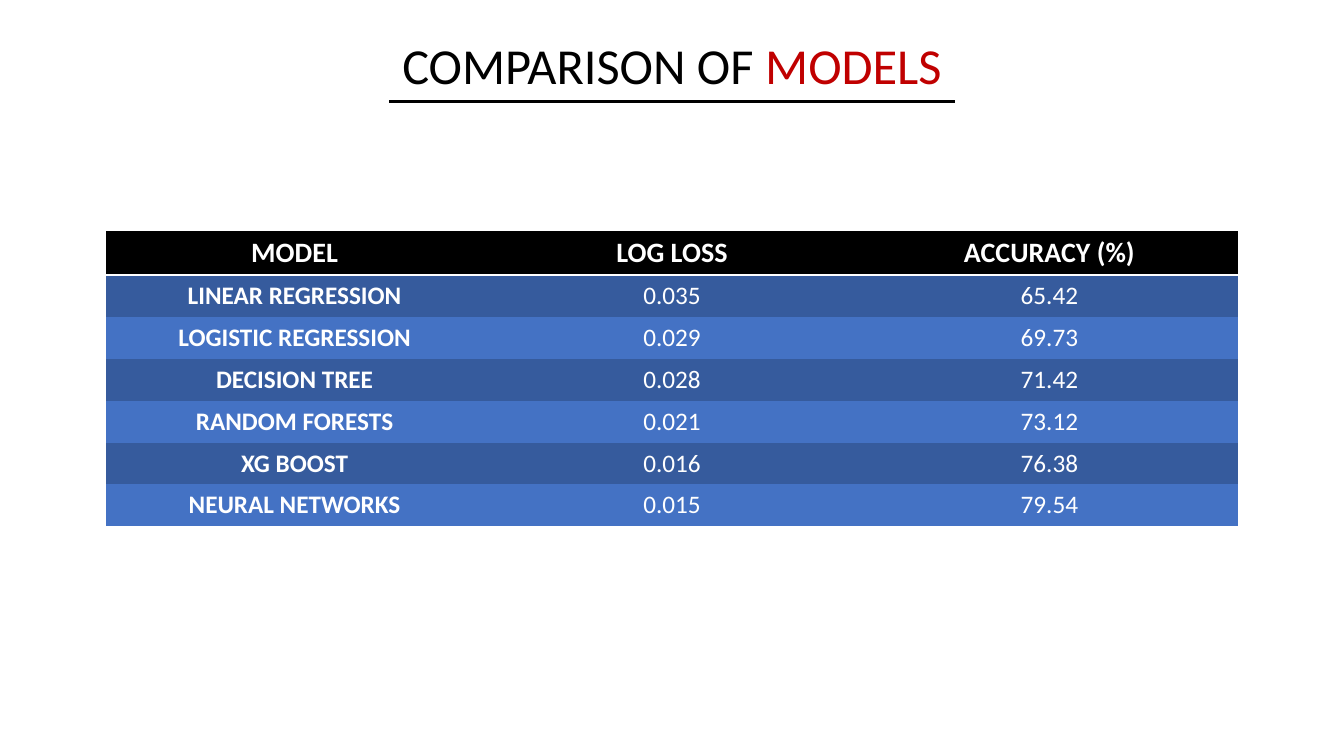
from lxml import etree
from pptx import Presentation
from pptx.dml.color import RGBColor
from pptx.enum.shapes import MSO_CONNECTOR
from pptx.enum.text import MSO_ANCHOR, MSO_AUTO_SIZE, PP_ALIGN
from pptx.oxml import parse_xml
from pptx.oxml.ns import nsdecls, qn
from pptx.util import Inches, Pt

STRAIGHT = MSO_CONNECTOR.STRAIGHT
MIDDLE = MSO_ANCHOR.MIDDLE
NO_AUTOFIT = MSO_AUTO_SIZE.NONE
CENTER = PP_ALIGN.CENTER

# Content
TITLE = [("COMPARISON OF ", "black"), ("MODELS", "red")]
HEADER = ("MODEL", "LOG LOSS", "ACCURACY (%)")
MODELS = [
    ("LINEAR REGRESSION", "0.035", "65.42"),
    ("LOGISTIC REGRESSION", "0.029", "69.73"),
    ("DECISION TREE", "0.028", "71.42"),
    ("RANDOM FORESTS", "0.021", "73.12"),
    ("XG BOOST", "0.016", "76.38"),
    ("NEURAL NETWORKS", "0.015", "79.54"),
]

# Style
FONT = "Calibri"
COLORS = {"black": "000000", "white": "FFFFFF", "red": "C00000",
          "dark_band": "365B9D", "light_band": "4472C4"}
PLAIN_TABLE_STYLE = "{2D5ABB26-0587-4C30-8999-92F81FD0307C}"

# Layout in inches
SLIDE_WIDTH, SLIDE_HEIGHT = 13.33, 7.5
TITLE_TOP, TITLE_WIDTH, TITLE_HEIGHT = 0.47, 6.29, 0.41
RULE_TOP, RULE_WIDTH = 1.01, 5.61
TABLE_TOP, TABLE_WIDTH = 2.29, 11.23
HEADER_HEIGHT, ROW_HEIGHT = 0.44, 0.415


def centered(width):
    return Inches((SLIDE_WIDTH - width) / 2)


def color(name):
    return RGBColor.from_string(COLORS[name])


def add_run(paragraph, text, size, color_name, bold=False):
    run = paragraph.add_run()
    run.text = text
    run.font.name = FONT
    run.font.size = Pt(size)
    run.font.bold = bold
    run.font.color.rgb = color(color_name)


def add_bottom_border(cell, color_name, points):
    border = parse_xml(
        f'<a:lnB {nsdecls("a")} w="{Pt(points)}"><a:solidFill>'
        f'<a:srgbClr val="{COLORS[color_name]}"/></a:solidFill></a:lnB>')
    cell._tc.get_or_add_tcPr().insert(0, border)


presentation = Presentation()
presentation.slide_width = Inches(SLIDE_WIDTH)
presentation.slide_height = Inches(SLIDE_HEIGHT)
slide = presentation.slides.add_slide(presentation.slide_layouts[5])

# Title
title = slide.shapes.title
title.left, title.top = centered(TITLE_WIDTH), Inches(TITLE_TOP)
title.width, title.height = Inches(TITLE_WIDTH), Inches(TITLE_HEIGHT)
title_frame = title.text_frame
title_frame.word_wrap = True
title_frame.auto_size = NO_AUTOFIT
title_frame.vertical_anchor = MIDDLE
title_paragraph = title_frame.paragraphs[0]
title_paragraph.alignment = CENTER
title_paragraph.line_spacing = 0.9
for text, color_name in TITLE:
    add_run(title_paragraph, text, 36, color_name)

# Rule under the title
rule_left = centered(RULE_WIDTH)
rule = slide.shapes.add_connector(
    STRAIGHT, rule_left, Inches(RULE_TOP),
    rule_left + Inches(RULE_WIDTH), Inches(RULE_TOP))
rule.line.color.rgb = color("black")
rule.line.width = Pt(2.25)
etree.SubElement(rule._element.spPr, qn("a:effectLst"))

# Table of models
rows = [HEADER] + MODELS
table_height = HEADER_HEIGHT + ROW_HEIGHT * len(MODELS)
table = slide.shapes.add_table(
    len(rows), len(HEADER), centered(TABLE_WIDTH), Inches(TABLE_TOP),
    Inches(TABLE_WIDTH), Inches(table_height)).table
table._tbl.tblPr.find(qn("a:tableStyleId")).text = PLAIN_TABLE_STYLE

for row_index, values in enumerate(rows):
    is_header = row_index == 0
    band = "dark_band" if row_index % 2 else "light_band"
    table.rows[row_index].height = Inches(HEADER_HEIGHT if is_header else ROW_HEIGHT)
    for column_index, value in enumerate(values):
        cell = table.cell(row_index, column_index)
        cell.vertical_anchor = MIDDLE
        cell.fill.solid()
        cell.fill.fore_color.rgb = color("black" if is_header else band)
        if is_header:
            add_bottom_border(cell, "white", 2)
        paragraph = cell.text_frame.paragraphs[0]
        paragraph.alignment = CENTER
        add_run(paragraph, value, 20 if is_header else 18, "white",
                bold=is_header or column_index == 0)

presentation.save("out.pptx")
